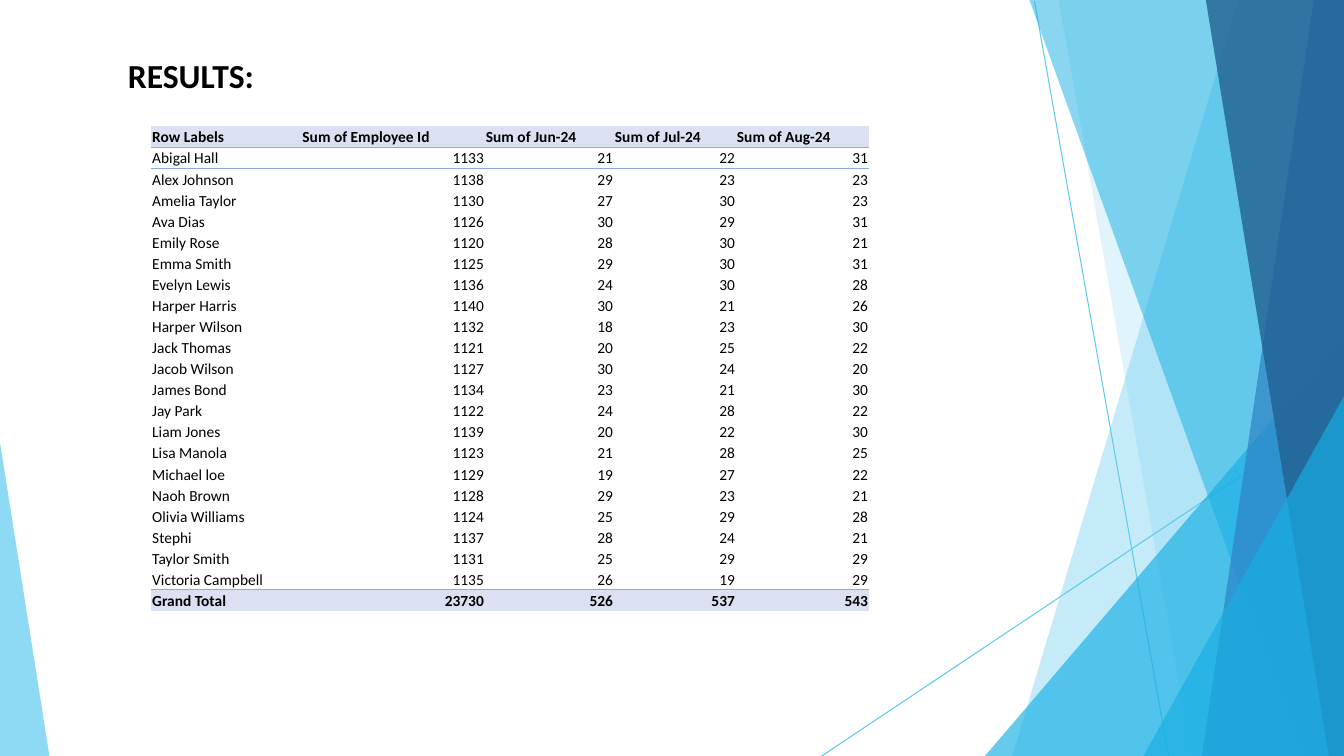
from dataclasses import dataclass

from lxml import etree
from pptx import Presentation
from pptx import util as u
from pptx.dml.color import RGBColor
from pptx.enum import shapes, text
from pptx.oxml.ns import qn


@dataclass(frozen=True)
class Theme:
    font: str = "Calibri"
    title_size: float = 24
    table_size: float = 11
    ink: str = "000000"
    band: str = "D9E1F2"
    rule: str = "8EA9DB"
    rule_width: float = 0.5
    sky: str = "5FCAEE"
    cyan: str = "17AFE3"
    blue: str = "2D83C3"
    navy: str = "226192"
    ray_width: float = 0.75


THEME = Theme()
WIDTH, HEIGHT = 13.33, 7.5
NO_STYLE = "{2D5ABB26-0587-4C30-8999-92F81FD0307C}"

HEADERS = ["Row Labels", "Sum of Employee Id", "Sum of Jun-24", "Sum of Jul-24", "Sum of Aug-24"]
COLUMN_WIDTHS = [1.49, 1.82, 1.28, 1.21, 1.32]
EMPLOYEES = [
    ("Abigal Hall", 1133, 21, 22, 31),
    ("Alex Johnson", 1138, 29, 23, 23),
    ("Amelia Taylor", 1130, 27, 30, 23),
    ("Ava Dias", 1126, 30, 29, 31),
    ("Emily Rose", 1120, 28, 30, 21),
    ("Emma Smith", 1125, 29, 30, 31),
    ("Evelyn Lewis", 1136, 24, 30, 28),
    ("Harper Harris", 1140, 30, 21, 26),
    ("Harper Wilson", 1132, 18, 23, 30),
    ("Jack Thomas", 1121, 20, 25, 22),
    ("Jacob Wilson", 1127, 30, 24, 20),
    ("James Bond", 1134, 23, 21, 30),
    ("Jay Park", 1122, 24, 28, 22),
    ("Liam Jones", 1139, 20, 22, 30),
    ("Lisa Manola", 1123, 21, 28, 25),
    ("Michael loe", 1129, 19, 27, 22),
    ("Naoh Brown", 1128, 29, 23, 21),
    ("Olivia Williams", 1124, 25, 29, 28),
    ("Stephi", 1137, 28, 24, 21),
    ("Taylor Smith", 1131, 25, 29, 29),
    ("Victoria Campbell", 1135, 26, 19, 29),
]


def add_run(p, words, size, bold):
    r = p.add_run()
    r.text = words
    r.font.name = THEME.font
    r.font.size = u.Pt(size)
    r.font.bold = bold
    r.font.color.rgb = RGBColor.from_string(THEME.ink)


def add_facet(slide, points, color, opacity):
    """Borderless translucent polygon."""
    corners = [(u.Inches(x), u.Inches(y)) for x, y in points]
    builder = slide.shapes.build_freeform(*corners[0], scale=1.0)
    builder.add_line_segments(corners[1:], close=True)
    sp = builder.convert_to_shape()
    sp.shadow.inherit = False
    sp.line.fill.background()
    sp.fill.solid()
    sp.fill.fore_color.rgb = RGBColor.from_string(color)
    tint = sp.fill._xPr.find(qn("a:solidFill"))[0]
    etree.SubElement(tint, qn("a:alpha"), val=str(opacity * 1000))


def add_ray(slide, x1, y1, x2, y2):
    ray = slide.shapes.add_connector(
        shapes.MSO_CONNECTOR.STRAIGHT, *(u.Inches(v) for v in (x1, y1, x2, y2)))
    ray.line.color.rgb = RGBColor.from_string(THEME.sky)
    ray.line.width = u.Pt(THEME.ray_width)
    etree.SubElement(ray._element.spPr, qn("a:effectLst"))


def add_backdrop(slide, left, top, width, height):
    right, bottom = left + width, top + height

    # Thin crossing rays
    add_ray(slide, left + 10.26, top + 0.01, left + 11.59, bottom)
    add_ray(slide, right, top + 4.04, left + 8.15, bottom)

    # Facets on the right edge: upper x, lower x, top y, colour, opacity
    for upper, lower, y, color, opacity in [
        (12.28, 10.04, 0, THEME.sky, 36),
        (10.5, 11.82, 0, THEME.sky, 20),
        (WIDTH, 9.77, 3.33, THEME.cyan, 66),
        (10.21, 12.91, 0, THEME.cyan, 50),
        (13.03, 11.92, 0, THEME.blue, 70),
        (11.96, 13.18, 0, THEME.navy, 80),
        (WIDTH, 11.34, 3.93, THEME.cyan, 66),
    ]:
        points = [(right, top + y), (left + lower, bottom), (right, bottom)]
        if upper < WIDTH:
            points.insert(1, (left + upper, top + y))
        add_facet(slide, points, color, opacity)

    # Sliver on the left edge
    add_facet(slide, [(left, top + 4.39), (left, bottom), (left + 0.49, bottom)], THEME.sky, 70)


def add_title(slide, left, top, width, height):
    box = slide.shapes.add_textbox(*(u.Inches(v) for v in (left, top, width, height)))
    tf = box.text_frame
    tf.word_wrap = False
    tf.auto_size = text.MSO_AUTO_SIZE.SHAPE_TO_FIT_TEXT
    add_run(tf.paragraphs[0], "RESULTS:", THEME.title_size, True)


def rule_cell(cell, side):
    """Thin rule on one side of a cell: "T" or "B"."""
    ln = etree.Element(qn("a:ln" + side), w=str(u.Pt(THEME.rule_width)))
    fill = etree.SubElement(ln, qn("a:solidFill"))
    etree.SubElement(fill, qn("a:srgbClr"), val=THEME.rule)
    cell._tc.get_or_add_tcPr().insert(0, ln)


def fill_cell(cell, value, banded):
    cell.margin_left = cell.margin_right = cell.margin_top = u.Inches(0.01)
    cell.margin_bottom = 0
    cell.vertical_anchor = text.MSO_ANCHOR.BOTTOM
    if banded:
        cell.fill.solid()
        cell.fill.fore_color.rgb = RGBColor.from_string(THEME.band)
    else:
        cell.fill.background()
    p = cell.text_frame.paragraphs[0]
    if isinstance(value, int):
        p.alignment = text.PP_ALIGN.RIGHT
    add_run(p, str(value), THEME.table_size, banded)


def add_results_table(slide, left, top, width, height):
    totals = [sum(column) for column in list(zip(*EMPLOYEES))[1:]]
    rows = [HEADERS, *EMPLOYEES, ["Grand Total", *totals]]
    last = len(rows) - 1
    frame = slide.shapes.add_table(
        len(rows), len(HEADERS), *(u.Inches(v) for v in (left, top, width, height)))
    table = frame.table
    table.first_row = table.horz_banding = False
    table._tbl.tblPr.find(qn("a:tableStyleId")).text = NO_STYLE

    for column, share in zip(table.columns, COLUMN_WIDTHS):
        column.width = u.Inches(width * share / sum(COLUMN_WIDTHS))

    # Rules lie under the header and above the totals
    rule_sides = {0: "B", 1: "T", last - 1: "B", last: "T"}
    for i, row in enumerate(rows):
        table.rows[i].height = u.Inches(height / len(rows))
        for j, value in enumerate(row):
            cell = table.cell(i, j)
            fill_cell(cell, value, banded=i in (0, last))
            if i in rule_sides:
                rule_cell(cell, rule_sides[i])


def main():
    prs = Presentation()
    prs.slide_width, prs.slide_height = u.Inches(WIDTH), u.Inches(HEIGHT)
    slide = prs.slides.add_slide(prs.slide_layouts[6])
    add_backdrop(slide, 0, 0, WIDTH, HEIGHT)
    add_results_table(slide, 1.5, 1.25, 7.12, 4.81)
    add_title(slide, 1.17, 0.5, 1.47, 0.5)
    prs.save("out.pptx")


if __name__ == "__main__":
    main()
